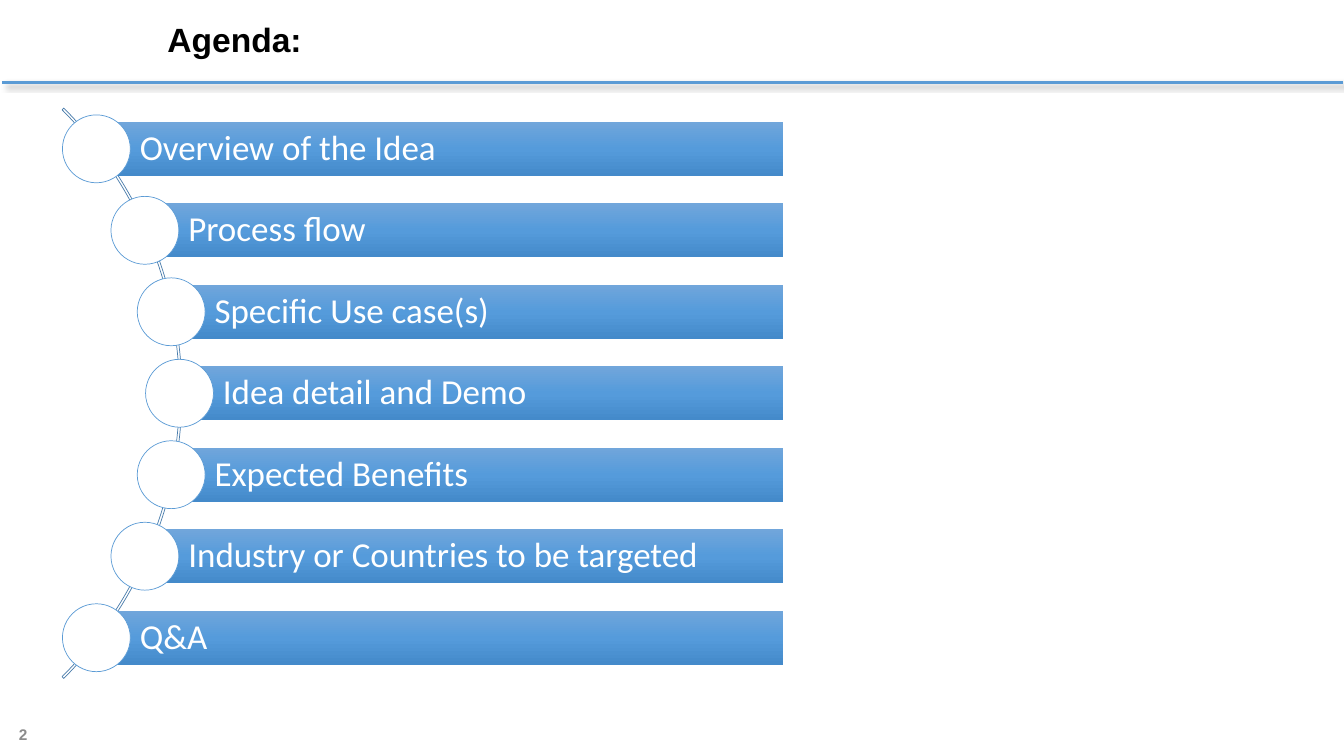
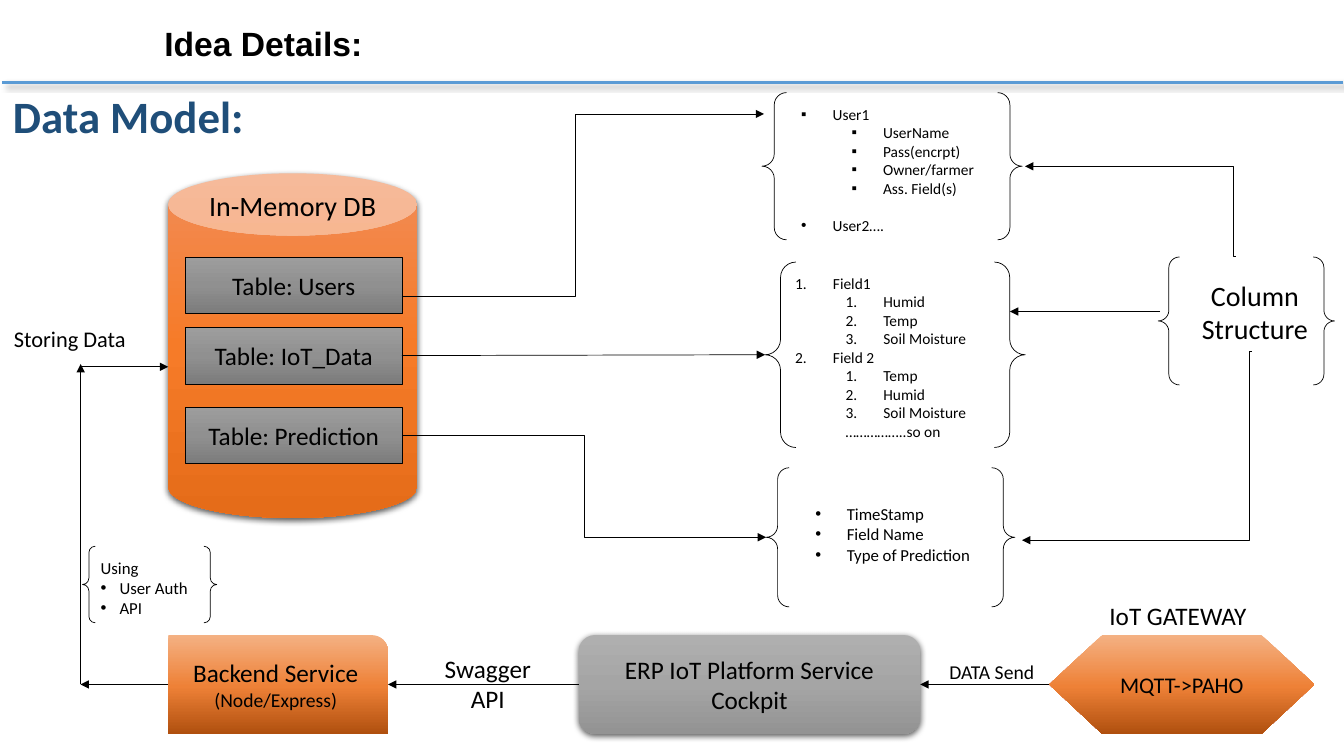
from collections import namedtuple
from math import sqrt

from lxml import etree
from pptx import Presentation
from pptx.dml.color import RGBColor
from pptx.enum.shapes import MSO_CONNECTOR, MSO_SHAPE
from pptx.enum.text import MSO_ANCHOR, PP_ALIGN
from pptx.oxml.ns import qn
from pptx.util import Pt

STRAIGHT, ELBOW = MSO_CONNECTOR.STRAIGHT, MSO_CONNECTOR.ELBOW
LEFT, CENTER = PP_ALIGN.LEFT, PP_ALIGN.CENTER
TOP, MIDDLE = MSO_ANCHOR.TOP, MSO_ANCHOR.MIDDLE
RECTANGLE, ELLIPSE, ARC = MSO_SHAPE.RECTANGLE, MSO_SHAPE.OVAL, MSO_SHAPE.BLOCK_ARC
BRACES, CYLINDER = MSO_SHAPE.DOUBLE_BRACE, MSO_SHAPE.CAN
ROUNDED, ONE_ROUND = MSO_SHAPE.ROUNDED_RECTANGLE, MSO_SHAPE.ROUND_1_RECTANGLE
HEXAGON = MSO_SHAPE.FLOWCHART_PREPARATION

BLACK, WHITE, BLUE, NAVY = "000000", "FFFFFF", "5B9BD5", "1F4E79"
ARC_LINE, MUTED = "497CAB", "8C8C8C"

# Gradients run from top to bottom: (position in percent, colour)
BLUE_BAR = ((0, "71A6DB"), (50, "559BDB"), (100, "448ACA"))
ORANGE = ((0, "F18C57"), (50, "F67B28"), (100, "E56C19"))
COPPER = ((0, "F4B183"), (52, "EE8137"), (100, "B0500F"))
GRAY = ((0, "AFAFAF"), (50, "A5A5A5"), (100, "939393"))
DARK_GRAY = ((0, "9D9D9D"), (50, "909090"), (100, "7C7C7C"))

# Shadows: opacity in percent, blur, distance, angle
RULE_SHADOW = (40, 4, 3, 45)
SOFT_SHADOW = (63, 4.5, 1.5, 90)

TITLE_FONT = {"name": "Arial", "size": Pt(24), "bold": True}
BULLETS = {
    "dot": ("buChar", {"char": "•"}),
    "square": ("buChar", {"char": "▪"}),
    "number": ("buAutoNum", {"type": "arabicPeriod"}),
}

Line = namedtuple("Line", "text level bullet margin hanging before size",
                  defaults=(0, None, 0, 0, 0, None))


def color(hex_value):
    return RGBColor.from_string(hex_value)


def calibri(size, **more):
    return {"name": "Calibri", "size": Pt(size), **more}


def apply(target, values):
    for name, value in values.items():
        setattr(target, name, value)


def lengths(values):
    return [Pt(round(value, 2)) for value in values]


# Text
def add_bullet(paragraph, line):
    properties = paragraph._p.get_or_add_pPr()
    properties.set("marL", str(Pt(line.margin)))
    properties.set("indent", str(Pt(-line.hanging)))
    if line.bullet:
        tag, attributes = BULLETS[line.bullet]
        etree.SubElement(properties, qn("a:buFont"), typeface="Arial")
        etree.SubElement(properties, qn("a:" + tag), **attributes)


def write(frame, lines, font, ink=BLACK, align=LEFT, anchor=TOP, spacing=None, **frame_format):
    apply(frame, {"word_wrap": True, "vertical_anchor": anchor, **frame_format})
    for index, line in enumerate(lines):
        line = Line(line) if isinstance(line, str) else line
        paragraph = frame.add_paragraph() if index else frame.paragraphs[0]
        apply(paragraph, {"alignment": align, "level": line.level, "line_spacing": spacing})
        if line.before:
            paragraph.space_before = Pt(line.before)
        add_bullet(paragraph, line)
        run = paragraph.add_run()
        run.text = line.text
        apply(run.font, font)
        run.font.color.rgb = color(ink)
        if line.size:
            run.font.size = Pt(line.size)


def add_text(slide, box, lines, font, **text_format):
    write(slide.shapes.add_textbox(*lengths(box)).text_frame, lines, font, **text_format)


# Shapes and lines
def fill_effects(effects, shadow):
    opacity, blur, distance, angle = shadow
    outer = etree.SubElement(effects, qn("a:outerShdw"), blurRad=str(Pt(blur)),
                             dist=str(Pt(distance)), dir=str(angle * 60000),
                             algn="t", rotWithShape="0")
    ink = etree.SubElement(outer, qn("a:srgbClr"), val=BLACK)
    etree.SubElement(ink, qn("a:alpha"), val=str(opacity * 1000))


def fill_gradient(shape, stops):
    shape.fill.gradient()
    shape.fill.gradient_angle = 270
    stop_list = shape.element.spPr.find(qn("a:gradFill")).find(qn("a:gsLst"))
    for stop in list(stop_list):
        stop_list.remove(stop)
    for position, ink in stops:
        stop = etree.SubElement(stop_list, qn("a:gs"), pos=str(position * 1000))
        etree.SubElement(stop, qn("a:srgbClr"), val=ink)


def add_shape(slide, kind, box, fill=None, line=None, shadow=None):
    shape = slide.shapes.add_shape(kind, *lengths(box))
    shape.shadow.inherit = False
    if shadow:
        fill_effects(shape.element.spPr.find(qn("a:effectLst")), shadow)
    if fill is None:
        shape.fill.background()
    elif isinstance(fill, str):
        shape.fill.solid()
        shape.fill.fore_color.rgb = color(fill)
    else:
        fill_gradient(shape, fill)
    if line:
        shape.line.color.rgb = color(line)
        shape.line.width = Pt(0.5)
    else:
        shape.line.fill.background()
    return shape


def add_line(slide, start, end, ink=BLACK, width=0.5, shadow=None, arrow=True, bend=None):
    kind = STRAIGHT if bend is None else ELBOW
    connector = slide.shapes.add_connector(kind, *lengths((*start, *end)))
    connector.line.color.rgb = color(ink)
    connector.line.width = Pt(width)
    properties = connector.element.spPr
    if arrow:
        etree.SubElement(properties.find(qn("a:ln")), qn("a:tailEnd"), type="triangle")
    if bend is not None:
        guides = properties.find(qn("a:prstGeom")).find(qn("a:avLst"))
        etree.SubElement(guides, qn("a:gd"), name="adj1", fmla=f"val {round(bend * 100000)}")
    effects = etree.SubElement(properties, qn("a:effectLst"))
    if shadow:
        fill_effects(effects, shadow)
    return connector


# Shared slide frame
def add_slide(presentation, title, title_box):
    slide = presentation.slides.add_slide(presentation.slide_layouts[5])
    placeholder = slide.shapes.title
    apply(placeholder, dict(zip(("left", "top", "width", "height"), lengths(title_box))))
    write(placeholder.text_frame, [title], TITLE_FONT, anchor=MIDDLE, spacing=1.1)
    return slide


def add_header_rule(slide):
    rule = add_line(slide, (959, 59), (1.4, 59), BLUE, 1.75, RULE_SHADOW, arrow=False)
    slide.slide_layout.shapes.element.append(rule.element)


# Agenda: bars whose round markers sit on an arc
def agenda_list(slide, box, items):
    left, top, width, height = box
    pitch = height / len(items)
    marker, bar_height = pitch / 1.2, pitch / 1.5
    middle = top + height / 2
    outer_radius = height / sqrt(2)
    radius = outer_radius - 1.7
    first_offset = (height - pitch) / 2
    arc_center = left + marker / 2 - sqrt(radius ** 2 - first_offset ** 2)

    arc = add_shape(slide, ARC, (arc_center - outer_radius, middle - outer_radius,
                                 2 * outer_radius, 2 * outer_radius), line=ARC_LINE)
    for index, value in enumerate((189, 27, 0.003)):
        arc.adjustments[index] = value

    for index, item in enumerate(items):
        y = top + pitch * (index + 0.5)
        x = arc_center + sqrt(radius ** 2 - (y - middle) ** 2)
        bar = add_shape(slide, RECTANGLE,
                        (x, y - bar_height / 2, left + width - x, bar_height), BLUE_BAR)
        write(bar.text_frame, [item], calibri(25), WHITE, anchor=MIDDLE, spacing=0.9,
              margin_left=Pt(31), margin_right=Pt(5))
        add_shape(slide, ELLIPSE, (x - marker / 2, y - marker / 2, marker, marker), WHITE, BLUE)


# Database cylinder with its tables
def database(slide, box, name, tables):
    left, top, width, _ = box
    add_shape(slide, CYLINDER, box, ORANGE, shadow=SOFT_SHADOW)
    add_text(slide, (left + 11, top + 7.2, width - 22, 31.7), [name], calibri(20), align=CENTER)
    for offset, table in tables:
        shape = add_shape(slide, RECTANGLE, (left + 12.2, top + offset, 154.8, 40.3),
                          DARK_GRAY, BLACK)
        write(shape.text_frame, [table], calibri(18), align=CENTER, anchor=MIDDLE)


# Braces around a list
def brace_panel(slide, box, inset, text_size, lines, size, **text_format):
    left, top = box[:2]
    add_shape(slide, BRACES, box, line=BLACK)
    add_text(slide, (left + inset[0], top + inset[1], *text_size), lines, calibri(size),
             **text_format)


# Bottom row: gateway to cockpit to backend
def service_row(slide, box):
    left, top, width, height = box
    middle = top + height / 2
    services = (
        (ONE_ROUND, 0, 157, COPPER, None, 18,
         ["Backend Service", Line("(Node/Express)", size=14)]),
        (ROUNDED, 293.1, 244.1, GRAY, SOFT_SHADOW, 18, ["ERP IoT Platform Service Cockpit"]),
        (HEXAGON, 629.3, width - 629.3, COPPER, None, 16, ["MQTT->PAHO"]),
    )
    for kind, offset, service_width, fill, shadow, size, lines in services:
        shape = add_shape(slide, kind, (left + offset, top, service_width, height), fill,
                          shadow=shadow)
        write(shape.text_frame, lines, calibri(size), align=CENTER, anchor=MIDDLE)
    for start, end in ((629.3, 537.2), (293.1, 157), (0, -62.6)):
        add_line(slide, (left + start, middle), (left + end, middle))
    labels = (
        ((659.6, -28.1, 123.1, 28.8), ["IoT GATEWAY"], 18, CENTER),
        ((550.8, 14.4, 87.1, 24.5), ["DATA Send"], 14, LEFT),
        ((177.9, 9.4, 100.8, 51.1), ["Swagger", "API"], 18, CENTER),
    )
    for (x, y, *size), lines, font_size, align in labels:
        add_text(slide, (left + x, top + y, *size), lines, calibri(font_size), align=align)


# Path from the backend up to the database
def storing_path(slide, box):
    left, top, width, height = box
    add_line(slide, (left, top + height), (left, top - 2))
    add_line(slide, (left, top), (left + width, top))
    add_text(slide, (left - 54.7, top - 33, 116.6, 26.6), ["Storing Data"], calibri(16))
    braces = add_shape(slide, BRACES, (left + 1.4, top + 128.2, 95.8, 54.7), line=BLACK)
    lines = ["Using"] + [Line(text, 0, "dot", 13.5, 13.5) for text in ("User Auth", "API")]
    write(braces.text_frame, lines, calibri(12), anchor=MIDDLE)


def column_panels(slide):
    users = [Line("User1", 0, "square", 22.5, 22.5)]
    users += [Line(text, 1, "square", 58.5, 22.5)
              for text in ("UserName", "Pass(encrpt)", "Owner/farmer", "Ass. Field(s)")]
    users.append(Line("User2….", 0, "dot", 22.5, 22.5, before=13.4))
    fields = []
    for name, readings in (("Field1", ("Humid", "Temp", "Soil Moisture")),
                           ("Field 2", ("Temp", "Humid", "Soil Moisture"))):
        fields.append(Line(name, 0, "number", 27, 27))
        fields += [Line(reading, 1, "number", 63, 27) for reading in readings]
    fields.append(Line("……………..so on", 1, margin=36))
    prediction = [Line(text, 0, "dot", 22.5, 22.5)
                  for text in ("TimeStamp", "Field Name", "Type of Prediction")]

    brace_panel(slide, (544.3, 66.2, 185.8, 105.1), (20.9, 5.1), (151.2, 100.8), users, 11)
    brace_panel(slide, (546.5, 187.2, 185.8, 132.5), (14.4, 5), (198.7, 154.1), fields, 11)
    brace_panel(slide, (547.2, 334.1, 177.8, 99.4), (28.1, 22.3), (129.6, 94.3), prediction, 12)
    brace_panel(slide, (827.3, 183.6, 126, 91.4), (12.2, 11.5), (113.8, 55.4),
                ["Column Structure"], 20, align=CENTER)


def panel_arrows(slide):
    arrows = (
        # Tables to their columns
        ((287, 211.7), (545.8, 81.4), 0.48),
        ((287, 254), (546.5, 253.4), None),
        ((287, 311), (547.2, 383.8), 0.5),
        # Column structure to each panel
        ((882.7, 182.9), (732.2, 118.8), 0.01),
        ((828.7, 222.5), (721.4, 222.5), None),
        ((894.2, 251.3), (730.1, 385.9), 0.01),
    )
    for start, end, bend in arrows:
        add_line(slide, start, end, bend=bend)


def agenda_slide(presentation):
    slide = add_slide(presentation, "Agenda:", (112.3, 6.5, 777.6, 39.6))
    add_header_rule(slide)
    add_text(slide, (6.5, 514, 36, 21.6), ["2"], {"name": "Arial", "size": Pt(11), "bold": True},
             ink=MUTED, anchor=MIDDLE)
    agenda_list(slide, (44.6, 77.2, 514.8, 407.4), (
        "Overview of the Idea", "Process flow", "Specific Use case(s)", "Idea detail and Demo",
        "Expected Benefits", "Industry or Countries to be targeted", "Q&A"))


def data_model_slide(presentation):
    slide = add_slide(presentation, "Idea Details:", (110.2, 3.7, 777.6, 51.1))
    add_text(slide, (2.2, 57.6, 324, 55.4), ["Data Model:"], calibri(32, bold=True), ink=NAVY,
             anchor=MIDDLE, spacing=0.9)
    database(slide, (120.2, 123.8, 177.8, 246.2), "In-Memory DB", (
        (59.8, "Table: Users"), (110.2, "Table: IoT_Data"), (167.1, "Table: Prediction")))
    column_panels(slide)
    panel_arrows(slide)
    service_row(slide, (120.2, 453.6, 818.7, 70.6))
    storing_path(slide, (57.6, 262, 62.6, 226.9))


def main():
    presentation = Presentation()
    apply(presentation, {"slide_width": Pt(960), "slide_height": Pt(540)})
    agenda_slide(presentation)
    data_model_slide(presentation)
    presentation.save("out.pptx")


if __name__ == "__main__":
    main()
